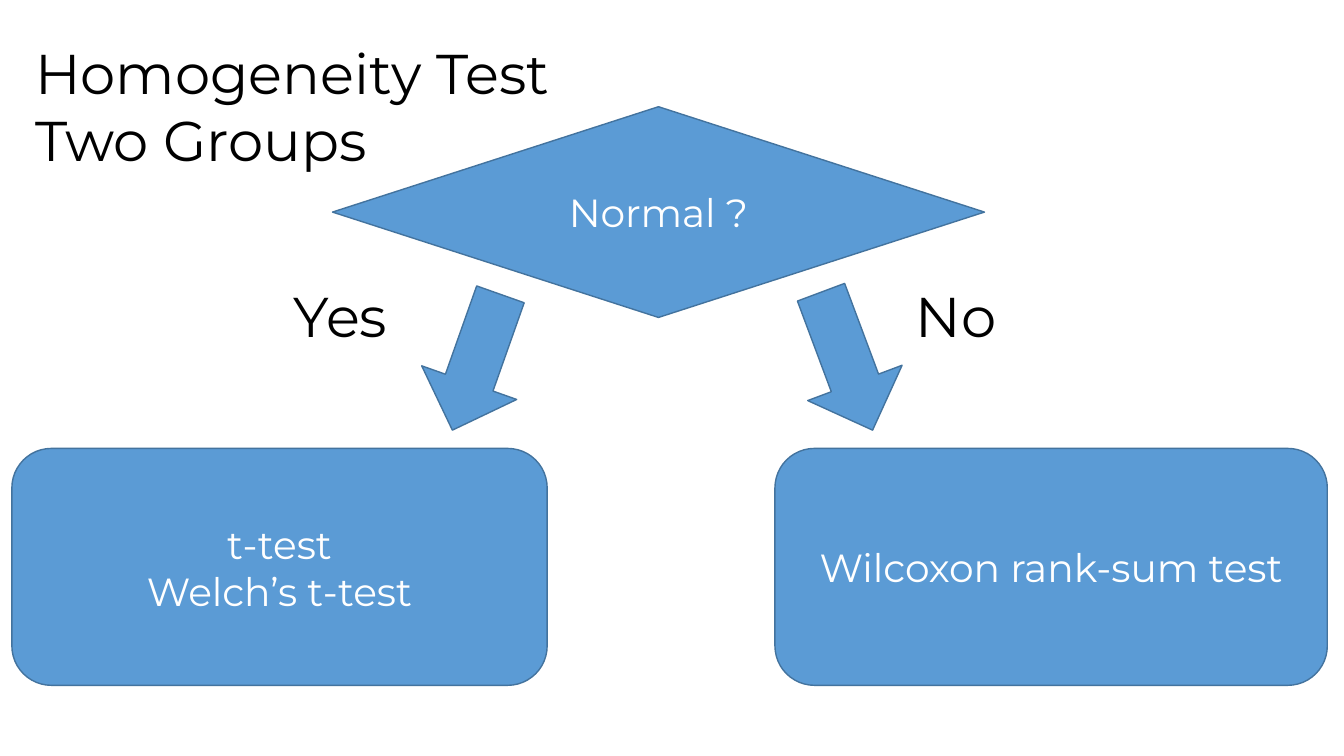
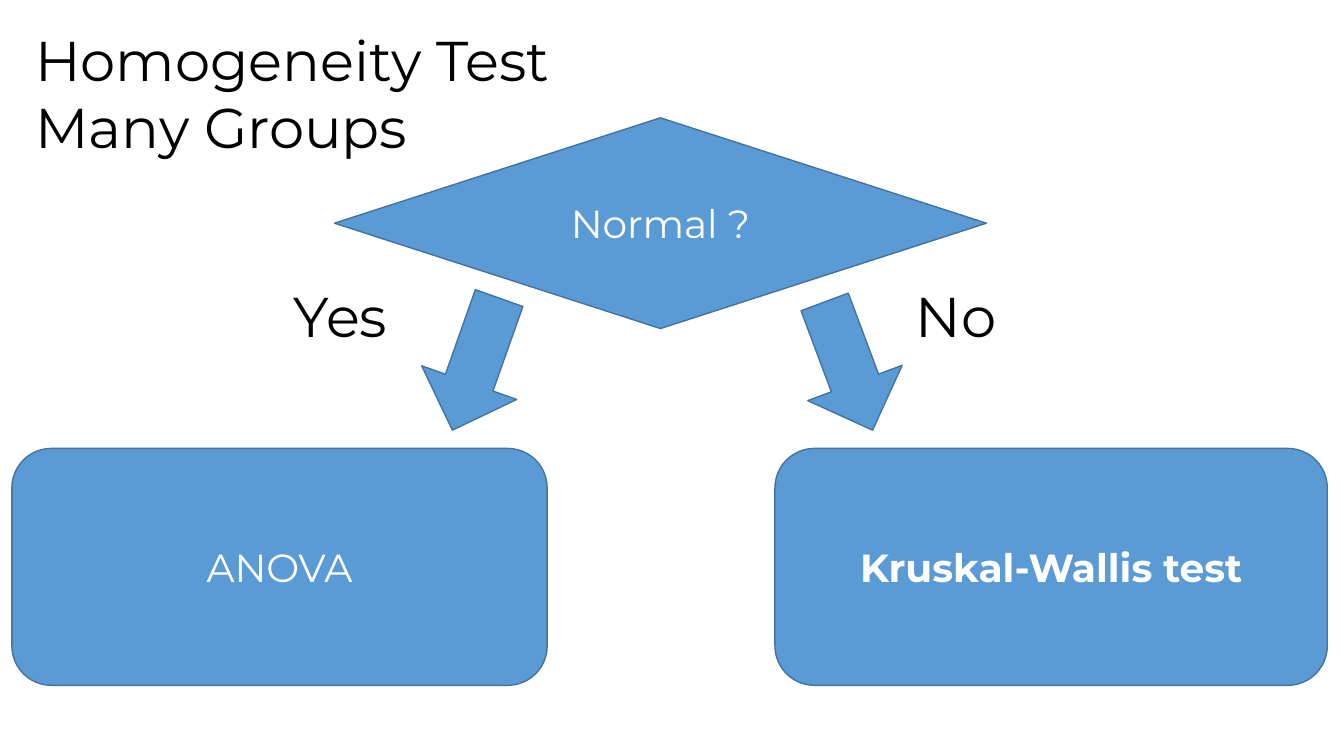
from dataclasses import dataclass
from math import cos, radians, sin

from pptx import Presentation
from pptx.dml.color import RGBColor
from pptx.enum.shapes import MSO_SHAPE
from pptx.enum.text import MSO_ANCHOR, MSO_AUTO_SIZE, PP_ALIGN
from pptx.util import Cm, Pt


@dataclass(frozen=True)
class Theme:
    font: str = "Montserrat"
    fill: RGBColor = RGBColor(0x5B, 0x9B, 0xD5)
    outline: RGBColor = RGBColor(0x43, 0x73, 0x9E)
    dark: RGBColor = RGBColor(0, 0, 0)
    light: RGBColor = RGBColor(0xFF, 0xFF, 0xFF)
    heading_size: int = 40
    node_size: int = 28


@dataclass(frozen=True)
class Box:
    left: float
    top: float
    width: float
    height: float

    def lengths(self):
        return Cm(self.left), Cm(self.top), Cm(self.width), Cm(self.height)


@dataclass(frozen=True)
class Branch:
    """One answer; label and arrow tip are offsets from the outcome box."""
    label: str
    outcome: Box
    label_offset: float
    label_width: float
    tip_offset: float
    angle: float


THEME = Theme()
TITLE_ONLY = 5
ARROW_THICKNESS = 2.54
TIP_GAP = 0.46
LABEL_RISE = 4.34
LABEL_HEIGHT = 1.96

YES = Branch("Yes", Box(0.3, 11.3, 13.49, 5.97), 6.86, 3.3, 11.1, 109.5)
NO = Branch("No", Box(19.53, 11.3, 13.92, 5.97), 3.3, 4.83, 2.46, 69.5)


def write_text(shape, *lines, size=THEME.heading_size, color=THEME.dark,
               bold=False, align=PP_ALIGN.LEFT, anchor=MSO_ANCHOR.TOP):
    frame = shape.text_frame
    frame.word_wrap = True
    frame.auto_size = MSO_AUTO_SIZE.NONE
    frame.vertical_anchor = anchor
    frame.text = "\n".join(lines)
    for paragraph in frame.paragraphs:
        paragraph.alignment = align
        font = paragraph.runs[0].font
        font.name, font.size, font.bold = THEME.font, Pt(size), bold
        font.color.rgb = color


def add_block(slide, kind, box):
    shape = slide.shapes.add_shape(kind, *box.lengths())
    shape.shadow.inherit = False
    shape.fill.solid()
    shape.fill.fore_color.rgb = THEME.fill
    shape.line.color.rgb = THEME.outline
    shape.line.width = Pt(1)
    return shape


def add_node(slide, kind, box, *lines, bold=False):
    write_text(add_block(slide, kind, box), *lines, size=THEME.node_size,
               color=THEME.light, bold=bold, align=PP_ALIGN.CENTER,
               anchor=MSO_ANCHOR.MIDDLE)


def add_arrow(slide, tip_x, tip_y, length, angle):
    # Step back from the tip to the centre the arrow turns about
    center_x = tip_x - length / 2 * cos(radians(angle))
    center_y = tip_y - length / 2 * sin(radians(angle))
    box = Box(center_x - length / 2, center_y - ARROW_THICKNESS / 2,
              length, ARROW_THICKNESS)
    add_block(slide, MSO_SHAPE.RIGHT_ARROW, box).rotation = angle


def add_title(slide, box, *lines):
    title = slide.shapes.title
    title.left, title.top, title.width, title.height = box.lengths()
    write_text(title, *lines)


def add_branch(slide, branch, arrow_length, *lines, bold=False):
    box = branch.outcome
    add_arrow(slide, box.left + branch.tip_offset, box.top - TIP_GAP,
              arrow_length, branch.angle)
    label_box = Box(box.left + branch.label_offset, box.top - LABEL_RISE,
                    branch.label_width, LABEL_HEIGHT)
    write_text(slide.shapes.add_textbox(*label_box.lengths()), branch.label)
    add_node(slide, MSO_SHAPE.FLOWCHART_ALTERNATE_PROCESS, box, *lines, bold=bold)


def add_decision_slide(presentation, groups, title_top, decision,
                       yes_lines, no_lines, arrow_lengths, bold_no=False):
    slide = presentation.slides.add_slide(presentation.slide_layouts[TITLE_ONLY])
    # Heading and question
    add_title(slide, Box(0.64, title_top, 14.66, 3.68), "Homogeneity Test", groups)
    add_node(slide, MSO_SHAPE.FLOWCHART_DECISION, decision, "Normal ?")
    # Answers and the tests they lead to
    yes_length, no_length = arrow_lengths
    add_branch(slide, YES, yes_length, *yes_lines)
    add_branch(slide, NO, no_length, *no_lines, bold=bold_no)


def main():
    presentation = Presentation()
    presentation.slide_width = Cm(33.87)
    presentation.slide_height = Cm(19.05)

    add_decision_slide(
        presentation, "Two Groups", 0.84, Box(8.38, 2.69, 16.43, 5.31),
        ["t-test", "Welch’s t-test"], ["Wilcoxon rank-sum test"], (3.63, 3.71))
    add_decision_slide(
        presentation, "Many Groups", 0.51, Box(8.43, 2.97, 16.43, 5.31),
        ["ANOVA"], ["Kruskal-Wallis test"], (3.53, 3.45), bold_no=True)

    presentation.save("out.pptx")


if __name__ == "__main__":
    main()
